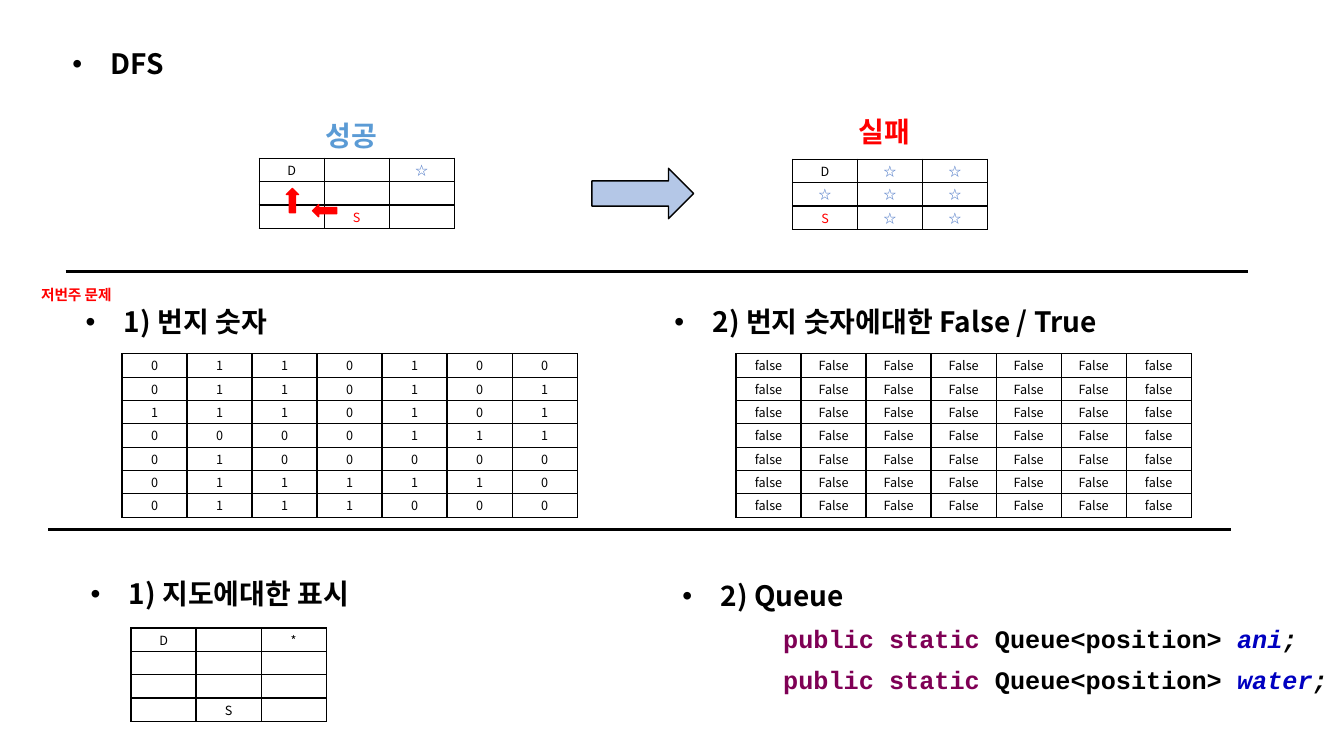
from pptx import Presentation
from pptx.dml.color import RGBColor as RGB
from pptx.enum.shapes import MSO_CONNECTOR as CONN, MSO_SHAPE as SHAPE
from pptx.enum.text import PP_ALIGN as ALIGN
from pptx.oxml import parse_xml
from pptx.oxml.ns import nsdecls
from pptx.util import Inches, Pt


class Theme:
    font, code_font = "Noto Sans CJK KR", "Courier New"
    heading, code, note, cell = 20, 18, 10.5, 9
    black, red, star = "000000", "FF0000", "4472C4"
    success, arrow = "5B9BD5", "B4C7E7"
    keyword, variable = "7F0055", "0000C0"


def write(p, text, size=Theme.heading, color=Theme.black, font=Theme.font, bold=True, italic=False):
    """Add a formatted run to paragraph p."""
    r = p.add_run()
    r.text = text
    r.font.size, r.font.name = Pt(size), font
    r.font.bold, r.font.italic = bold, italic
    r.font.color.rgb = RGB.from_string(color)
    r.font._element.append(parse_xml(f'<a:ea {nsdecls("a")} typeface="{font}"/>'))


def add_text(x, y, w, h, text, bullet=False, **fmt):
    """Add a text box with one paragraph and return its frame."""
    tf = s.shapes.add_textbox(Inches(x), Inches(y), Inches(w), Inches(h)).text_frame
    tf.word_wrap = True
    p = tf.paragraphs[0]
    p.line_spacing, p.space_before = 0.9, Pt(10)
    if bullet:
        pPr = p._p.get_or_add_pPr()
        pPr.set("marL", str(Inches(0.38)))
        pPr.set("indent", str(Inches(-0.38)))
        pPr.append(parse_xml(f'<a:buFont {nsdecls("a")} typeface="Arial"/>'))
        pPr.append(parse_xml(f'<a:buChar {nsdecls("a")} char="•"/>'))
    write(p, text, **fmt)
    return tf


prs = Presentation()
prs.slide_width, prs.slide_height = Inches(13.33), Inches(7.5)
s = prs.slides.add_slide(prs.slide_layouts[6])

# Tables: left, top, rows, colours of marked cells
marks = {"☆": Theme.star, "S": Theme.red}
numbers = ["0110100", "0110101", "1110101", "0000111", "0100000", "0111110", "0111000"]
visited = [["false"] + ["False"] * 5 + ["false"]] * 7
tables = [
    (2.57, 1.57, ["D ☆", "   ", " S "], marks),
    (7.86, 1.58, ["D☆☆", "☆☆☆", "S☆☆"], marks),
    (1.21, 3.51, numbers, {}),
    (7.3, 3.51, visited, {}),
    (1.3, 6.23, ["D *", "   ", "   ", " S "], {}),
]
col_w, row_h = 0.645, 0.23
for x, y, rows, colors in tables:
    n_rows, n_cols = len(rows), len(rows[0])
    table = s.shapes.add_table(n_rows, n_cols, Inches(x), Inches(y),
                               Inches(col_w * n_cols), Inches(row_h * n_rows)).table
    table.first_row = table.horz_banding = False
    for col in table.columns:
        col.width = Inches(col_w)
    for i, row in enumerate(rows):
        table.rows[i].height = Inches(row_h)
        for j, value in enumerate(row):
            cell = table.cell(i, j)
            cell.margin_left = cell.margin_right = Inches(0.05)
            cell.margin_top = cell.margin_bottom = Inches(0.025)
            p = cell.text_frame.paragraphs[0]
            p.alignment = ALIGN.CENTER
            if value.strip():
                write(p, value, size=Theme.cell, bold=False, color=colors.get(value, Theme.black))
            else:
                end = p._p.get_or_add_endParaRPr()
                end.set("sz", str(Theme.cell * 100))
                end.append(parse_xml(f'<a:latin {nsdecls("a")} typeface="{Theme.font}"/>'))
            for side in "LRTB":
                cell._tc.get_or_add_tcPr().append(parse_xml(
                    f'<a:ln{side} {nsdecls("a")} w="{Pt(1)}"><a:solidFill>'
                    f'<a:srgbClr val="{Theme.black}"/></a:solidFill></a:ln{side}>'))
            cell.fill.background()

# Arrows: the change from success to failure, and the two steps from S to D
for x, y, w, h, rotation, fill, line in [
    (5.87, 1.67, 1.01, 0.5, 0, Theme.arrow, Theme.black),
    (3.1, 2.03, 0.24, 0.12, 180, Theme.red, Theme.red),
    (2.78, 1.93, 0.24, 0.12, 270, Theme.red, Theme.red),
]:
    sp = s.shapes.add_shape(SHAPE.RIGHT_ARROW, Inches(x), Inches(y), Inches(w), Inches(h))
    sp.rotation = rotation
    sp.shadow.inherit = False
    sp.fill.solid()
    sp.fill.fore_color.rgb = RGB.from_string(fill)
    sp.line.color.rgb = RGB.from_string(line)
    sp.line.width = Pt(1)

# Section dividers
for x, y in [(0.65, 2.69), (0.48, 5.25)]:
    line = s.shapes.add_connector(CONN.STRAIGHT, Inches(x), Inches(y), Inches(x + 11.73), Inches(y))
    line.line.color.rgb = RGB.from_string(Theme.black)
    line.line.width = Pt(2.25)
    line._element.spPr.append(parse_xml(f'<a:effectLst {nsdecls("a")}/>'))

# Section headings
for x, y, text in [
    (0.62, 0.45, "DFS"),
    (0.75, 3.01, "1) 번지 숫자"),
    (6.59, 3.01, "2) 번지 숫자에대한 False / True"),
    (0.8, 5.71, "1) 지도에대한 표시"),
    (6.67, 5.73, "2) Queue"),
]:
    tf = add_text(x, y, 6.9, 1.63, text, bullet=True)

# Queue declarations under the last heading
for name in ["ani", "water"]:
    p = tf.add_paragraph()
    p.line_spacing, p.space_before = 0.9, Pt(10)
    p._p.get_or_add_pPr().set("marL", str(Inches(1)))
    for text, color, italic in [
        ("public static", Theme.keyword, False),
        (" Queue<position> ", Theme.black, False),
        (name, Theme.variable, True),
        (";", Theme.black, True),
    ]:
        write(p, text, size=Theme.code, color=color, font=Theme.code_font, italic=italic)

# Labels
add_text(3.13, 1.16, 0.81, 0.47, "성공", color=Theme.success)
add_text(8.42, 1.12, 0.81, 0.47, "실패", color=Theme.red)
add_text(0.31, 2.81, 1.03, 0.26, "저번주 문제", size=Theme.note, color=Theme.red)

prs.save("out.pptx")
